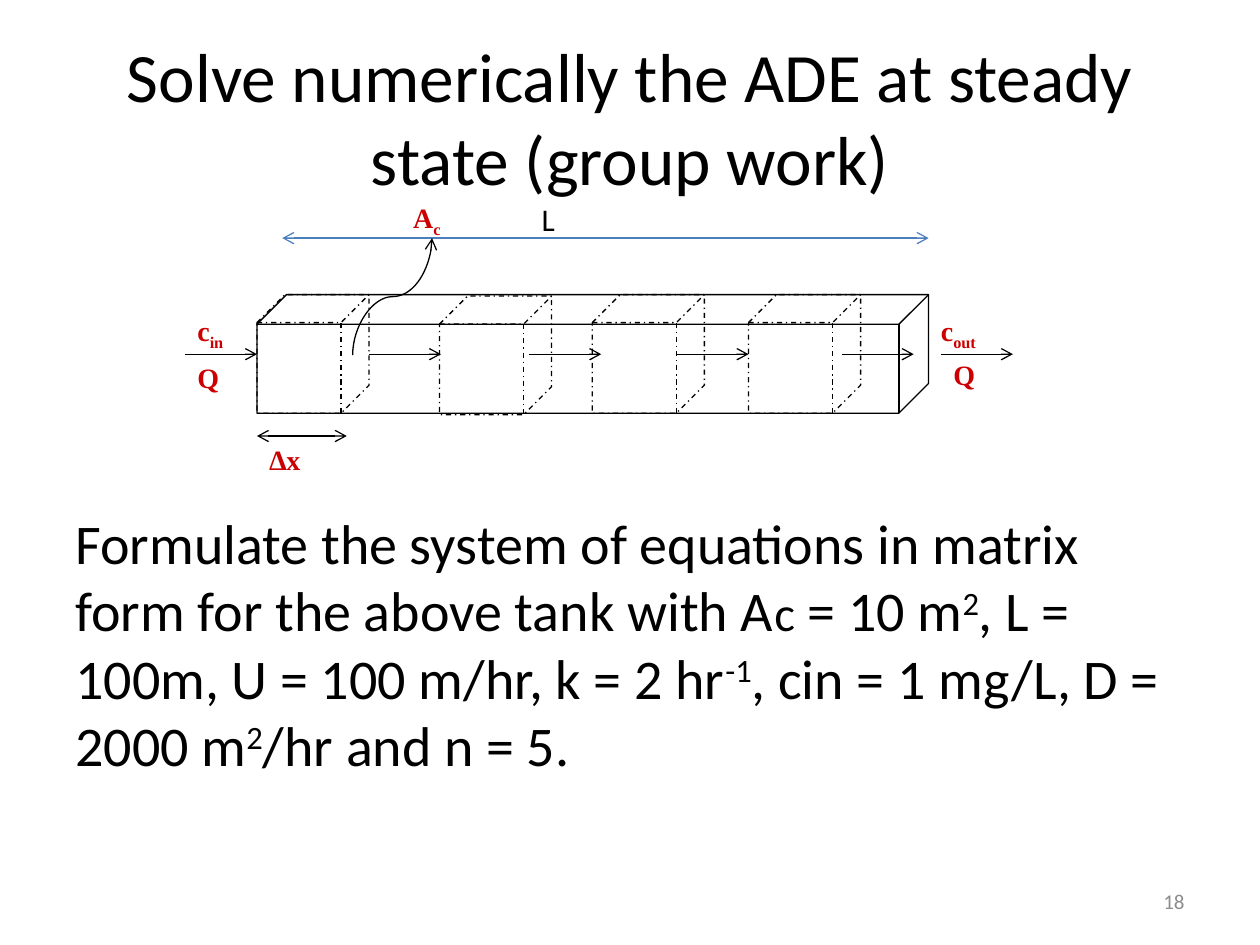
from lxml.etree import SubElement
from pptx import Presentation
from pptx.dml.color import RGBColor
from pptx.enum.dml import MSO_LINE
from pptx.enum.shapes import MSO_CONNECTOR, MSO_SHAPE
from pptx.enum.text import MSO_ANCHOR, PP_ALIGN
from pptx.oxml.ns import qn
from pptx.util import Cm, Pt

COLOURS = {"black": "000000", "red": "CC0000", "blue": "4B7EBC", "grey": "8C8C8C"}

presentation = Presentation()
presentation.slide_width, presentation.slide_height = Cm(25.4), Cm(19.05)
slide = presentation.slides.add_slide(presentation.slide_layouts[6])


def add_text(box, runs, size, font="Calibri", colour="black", bold=False,
             align=PP_ALIGN.LEFT, anchor=MSO_ANCHOR.TOP):
    """Write one paragraph; each run is (text, baseline shift in %, size or None)."""
    frame = slide.shapes.add_textbox(*[Cm(v) for v in box]).text_frame
    frame.word_wrap = True
    frame.vertical_anchor = anchor
    paragraph = frame.paragraphs[0]
    paragraph.alignment = align
    for text, shift, own_size in runs:
        run = paragraph.add_run()
        run.text = text
        run.font.name = font
        run.font.size = Pt(own_size or size)
        run.font.bold = bold
        run.font.color.rgb = RGBColor.from_string(COLOURS[colour])
        if shift:
            run.font._element.set("baseline", str(shift * 1000))


def add_arrow(x1, y1, x2, y2, colour="black", double=False, kind=MSO_CONNECTOR.STRAIGHT):
    arrow = slide.shapes.add_connector(kind, Cm(x1), Cm(y1), Cm(x2), Cm(y2))
    arrow.line.color.rgb = RGBColor.from_string(COLOURS[colour])
    arrow.line.width = Pt(0.75)
    for end in ["headEnd", "tailEnd"] if double else ["tailEnd"]:
        SubElement(arrow.line._get_or_add_ln(), qn(f"a:{end}"), type="arrow")
    SubElement(arrow._element.spPr, qn("a:effectLst"))
    return arrow


# Title, task and slide number
add_text((1.27, 0.76, 22.86, 3.18),
         [("Solve numerically the ADE at steady state (group work)", 0, None)],
         39.6, align=PP_ALIGN.CENTER, anchor=MSO_ANCHOR.MIDDLE)
add_text((1.27, 10.13, 22.86, 6.88), [
    ("Formulate the system of equations in matrix form for the above tank with A", 0, None),
    ("c", 0, 28),
    (" = 10 m", 0, None),
    ("2", 30, None),
    (", L = 100m, U = 100 m/hr, k = 2 hr", 0, None),
    ("-1", 30, None),
    (", cin = 1 mg/L, D = 2000 m", 0, None),
    ("2", 30, None),
    ("/hr and n = 5.", 0, None),
], 32)
add_text((18.21, 17.65, 5.92, 1.02), [("18", 0, None)], 12, colour="grey",
         align=PP_ALIGN.RIGHT, anchor=MSO_ANCHOR.MIDDLE)

# Tank, then its dash-dotted cells
tank_left, tank_top, tank_width, cell_width = 5.18, 5.94, 13.54, 2.26
for left, top, width in [
    (tank_left, tank_top, tank_width),
    (tank_left, tank_top, cell_width),
    (11.94, tank_top, cell_width),
    (15.09, tank_top, cell_width),
    (8.86, 5.97, cell_width),
]:
    block = slide.shapes.add_shape(MSO_SHAPE.CUBE, Cm(left), Cm(top), Cm(width), Cm(2.39))
    block.adjustments[0] = 0.25
    block.shadow.inherit = False
    block.fill.background()
    block.line.color.rgb = RGBColor.from_string(COLOURS["black"])
    block.line.width = Pt(0.75)
    if width == cell_width:
        block.line.dash_style = MSO_LINE.DASH_DOT

# Flow through the tank
flow_y, flow_length = 7.14, 1.45
for start in (3.73, 7.44, 10.67, 13.64, 16.97, 18.97):
    add_arrow(start, flow_y, start + flow_length, flow_y)

# Cell length, tank length and the pointer to the cross-section
add_arrow(tank_left, 8.79, 6.99, 8.79, double=True)
add_arrow(5.69, 4.8, 18.72, 4.8, colour="blue", double=True)
area_pointer = add_arrow(6.73, 5.18, 9.09, 6.78, kind=MSO_CONNECTOR.CURVE)
area_pointer._element.spPr.find(qn("a:xfrm")).set("rot", str(270 * 60000))

# Labels: symbol and subscript
for left, top, width, symbol, subscript in [
    (8.08, 3.91, 1.14, "A", "c"),
    (3.73, 6.2, 2.49, "c", "in"),
    (18.72, 6.2, 2.49, "c", "out"),
    (3.73, 7.14, 2.49, "Q", ""),
    (18.97, 7.09, 2.49, "Q", ""),
    (5.18, 8.79, 2.49, "∆x", ""),
]:
    runs = [(symbol, 0, None)]
    if subscript:
        runs.append((subscript, -25, None))
    add_text((left, top, width, 0.94), runs, 16, "Times New Roman", "red", bold=True)
add_text((10.67, 3.91, 2.03, 1.02), [("L", 0, None)], 18)

presentation.save("out.pptx")
